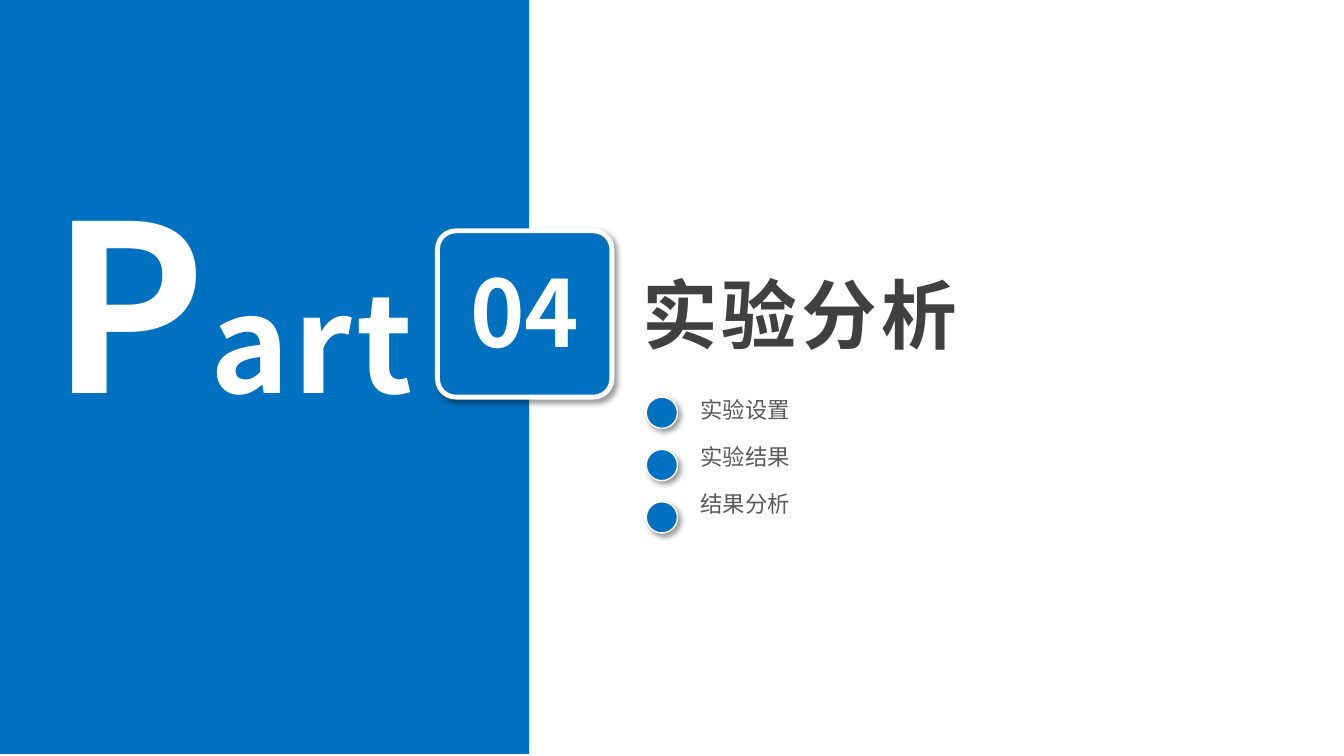
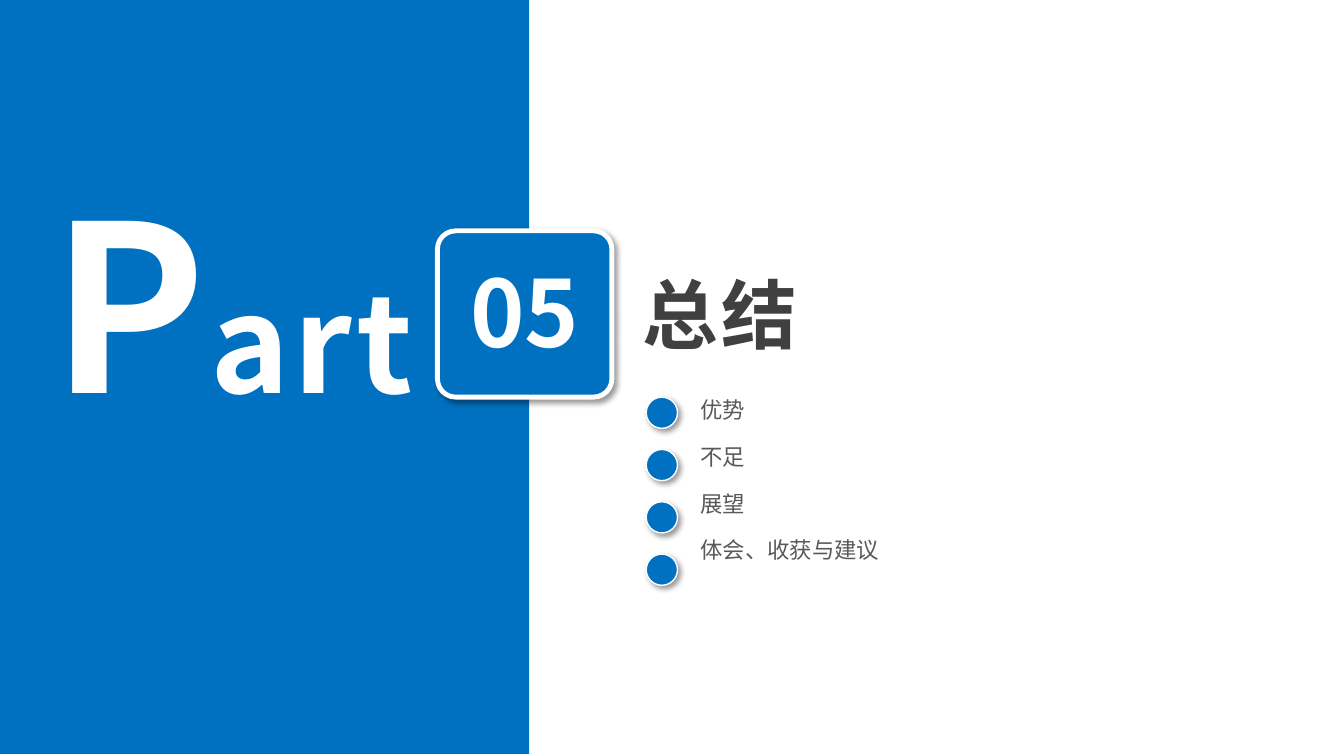
from pptx import Presentation
from pptx import util as u
from pptx.dml.color import RGBColor
from pptx.enum import shapes, text
from pptx.oxml import parse_xml
from pptx.oxml.ns import nsdecls, qn

BLUE = RGBColor(0x00, 0x70, 0xC0)
WHITE = RGBColor(0xFF, 0xFF, 0xFF)
DARK = RGBColor(0x40, 0x40, 0x40)
GREY = RGBColor(0x59, 0x59, 0x59)
FACE = "Noto Sans CJK SC"
STEP = 6.92  # list pitch, percent of slide height

SHADE = (
    f'<a:effectLst {nsdecls("a")}><a:outerShdw blurRad="{u.Pt(4)}" '
    f'dist="{u.Pt(3)}" dir="2700000" algn="tl" rotWithShape="0">'
    '<a:srgbClr val="000000"><a:alpha val="40000"/></a:srgbClr>'
    '</a:outerShdw></a:effectLst>'
)

PARTS = [
    ("04", "实验分析", ["实验设置", "实验结果", "结果分析"]),
    ("05", "总结", ["优势", "不足", "展望", "体会、收获与建议"]),
]


def apply(item, form):
    for name, value in form.items():
        setattr(item, name, value)


class Deck:
    """Holds the style and the current slide; lengths are percents of the slide."""

    def __init__(self):
        self.prs = Presentation()
        apply(self.prs, dict(slide_width=u.Inches(13.333), slide_height=u.Inches(7.5)))

    def start(self):
        self.slide = self.prs.slides.add_slide(self.prs.slide_layouts[1])

    def box(self, x, y, w, h):
        wide, high = self.prs.slide_width, self.prs.slide_height
        return [round(n * size / 100)
                for n, size in zip((x, y, w, h), (wide, high, wide, high))]

    def move(self, item, area):
        apply(item, dict(zip(("left", "top", "width", "height"), self.box(*area))))

    def put(self, words, line, size, color, bold=True, gap=0):
        """Add a run to a paragraph; gap is the letter spacing in points."""
        run = line.add_run()
        run.text = words
        apply(run.font, dict(name=FACE, size=u.Pt(size), bold=bold))
        run.font.color.rgb = color
        props = run.font._element
        if gap:
            props.set("spc", str(gap * 100))
        east = props.makeelement(qn("a:ea"), {"typeface": FACE})
        props.find(qn("a:latin")).addnext(east)

    def frame(self, item, anchor, align, **more):
        """Format a text frame and return its first paragraph."""
        form = dict(word_wrap=True, auto_size=text.MSO_AUTO_SIZE.NONE,
                    vertical_anchor=anchor, margin_left=u.Inches(0.1),
                    margin_right=u.Inches(0.1), margin_top=u.Inches(0.05),
                    margin_bottom=u.Inches(0.05))
        apply(item.text_frame, {**form, **more})
        line = item.text_frame.paragraphs[0]
        line.alignment = align
        return line

    def shape(self, kind, area, edge=0):
        """Add a blue shape; one with an edge also gets a white line and shadow."""
        item = self.slide.shapes.add_shape(kind, *self.box(*area))
        item.shadow.inherit = False
        item.fill.solid()
        item.fill.fore_color.rgb = BLUE
        if edge:
            item.line.color.rgb = WHITE
            item.line.width = u.Pt(edge)
            props = item._element.spPr
            props.replace(props.find(qn("a:effectLst")), parse_xml(SHADE))
        else:
            item.line.fill.background()
        return item

    def panel(self):
        self.shape(shapes.MSO_SHAPE.RECTANGLE, (0, 0, 39.38, 99.73))
        item = self.slide.shapes.add_textbox(*self.box(-6.23, 16.87, 47.03, 45.87))
        line = self.frame(item, text.MSO_ANCHOR.MIDDLE, text.PP_ALIGN.CENTER)
        for word, size in (("P", 166), ("art", 96)):
            self.put(word, line, size, WHITE, gap=3)

    def tile(self, label):
        item = self.shape(shapes.MSO_SHAPE.ROUNDED_RECTANGLE,
                          (32.55, 30.53, 12.98, 22), 3.5)
        item.adjustments[0] = 0.11
        line = self.frame(item, text.MSO_ANCHOR.MIDDLE, text.PP_ALIGN.CENTER,
                          margin_top=0, margin_bottom=u.Inches(0.07))
        self.put(label, line, 66, WHITE)

    def title(self, label):
        item = self.slide.shapes.title
        self.move(item, (47.03, 33.47, 41.1, 16))
        line = self.frame(item, text.MSO_ANCHOR.MIDDLE, text.PP_ALIGN.LEFT)
        self.put(label, line, 54, DARK, gap=3)

    def topics(self, labels):
        item = self.slide.placeholders[1]
        self.move(item, (51.38, 51.73, 20.48, STEP * len(labels)))
        line = self.frame(item, text.MSO_ANCHOR.TOP, text.PP_ALIGN.LEFT)
        for row, label in enumerate(labels):
            if row:
                line = item.text_frame.add_paragraph()
            apply(line, dict(space_before=u.Pt(0), space_after=u.Pt(14.2),
                             alignment=text.PP_ALIGN.LEFT))
            props = line._p.get_or_add_pPr()
            props.set("marL", "0")
            props.set("indent", "0")
            props.append(props.makeelement(qn("a:buNone"), {}))
            self.put(label, line, 16, GREY, bold=False)
            self.shape(shapes.MSO_SHAPE.OVAL,
                       (48.08, 52.53 + row * STEP, 2.33, 4.13), 1)


def main():
    deck = Deck()
    for number, name, labels in PARTS:
        deck.start()
        deck.panel()
        deck.tile(number)
        deck.title(name)
        deck.topics(labels)
    deck.prs.save("out.pptx")


if __name__ == "__main__":
    main()
